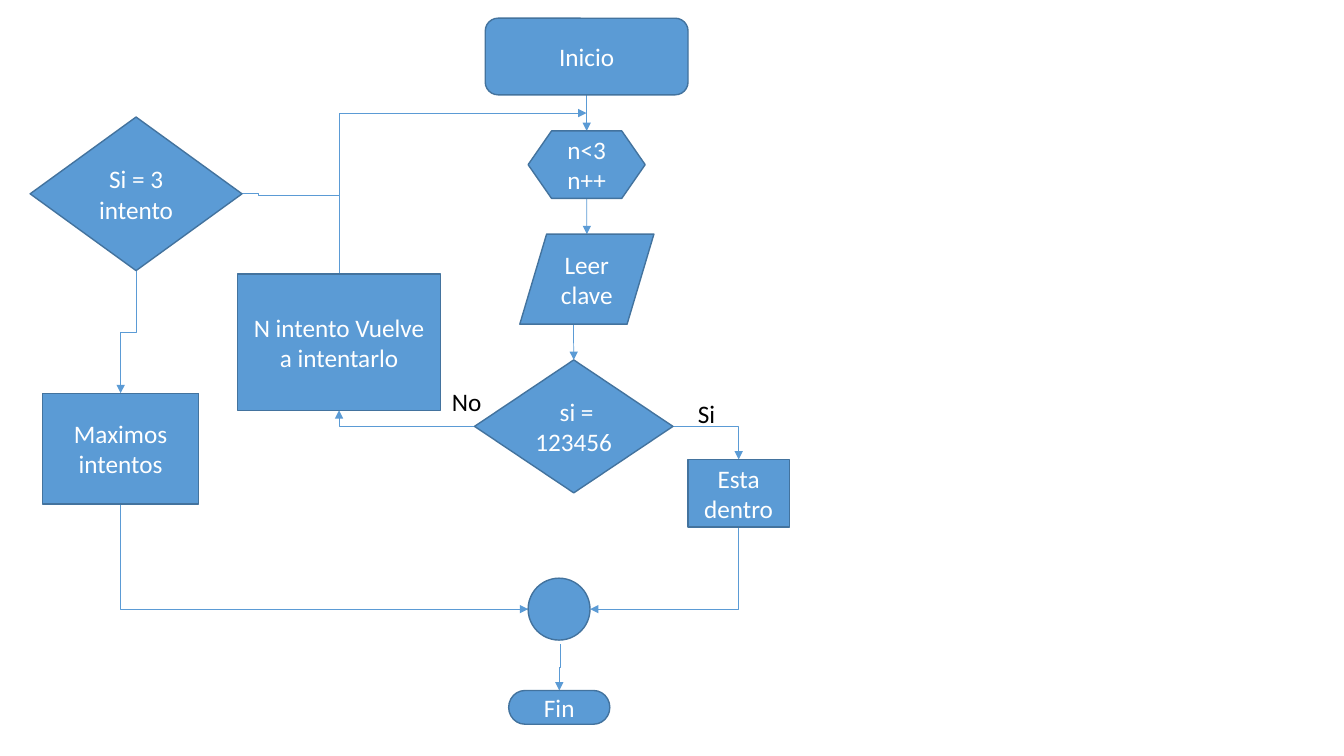
import pptx
import pptx.util
import pptx.dml.color
import pptx.enum.shapes
import pptx.enum.text
import pptx.oxml
import pptx.oxml.ns

Cm, Pt = pptx.util.Cm, pptx.util.Pt
KIND = pptx.enum.shapes.MSO_SHAPE
WIRE = pptx.enum.shapes.MSO_CONNECTOR
ALIGN = pptx.enum.text.PP_ALIGN
ANCHOR = pptx.enum.text.MSO_ANCHOR

HUES = {"fill": "5B9BD5", "edge": "43739E", "light": "FFFFFF", "dark": "000000"}
FONT, SIZE = "Calibri", 18

# name: (shape, text, left, top, width, height) in cm
NODES = {
    "start": (KIND.FLOWCHART_ALTERNATE_PROCESS, "Inicio", 12.23, 0.46, 5.11, 1.93),
    "loop": (KIND.FLOWCHART_PREPARATION, "n<3\vn++", 13.31, 3.3, 2.95, 1.7),
    "check": (KIND.FLOWCHART_DECISION, " si = 123456", 11.96, 9.07, 5, 3.35),
    "read": (KIND.FLOWCHART_DATA, "Leer clave", 13.1, 5.9, 3.38, 2.27),
    "inside": (KIND.FLOWCHART_PROCESS, "Esta dentro", 17.34, 11.58, 2.55, 1.7),
    "retry": (KIND.FLOWCHART_PROCESS, "N intento Vuelve a intentarlo", 5.99, 6.91, 5.11, 3.43),
    "join": (KIND.OVAL, "", 13.31, 14.57, 1.56, 1.56),
    "third": (KIND.FLOWCHART_DECISION, "Si = 3 intento", 0.76, 2.95, 5.34, 3.87),
    "limit": (KIND.FLOWCHART_PROCESS, "Maximos intentos", 1.07, 9.91, 3.94, 2.79),
    "end": (KIND.FLOWCHART_TERMINATOR, "Fin", 12.82, 17.4, 2.55, 0.85),
}
LABELS = [("Si", 17.34, 9.91, 0.97, 1.02), ("No", 11.14, 9.6, 1.27, 1.02)]

# start, end, bends, first direction; an end is (node, side) or a point in cm
LINKS = [
    (("start", "bottom"), ("loop", "top"), 0, ""),
    (("loop", "bottom"), ("read", "top"), 0, ""),
    ((14.45, 8.17), ("check", "top"), 0, ""),
    (("check", "right"), ("inside", "top"), 1, "across"),
    (("check", "left"), ("retry", "bottom"), 1, "across"),
    (("retry", "top"), (14.78, 2.85), 1, "down"),
    (("inside", "bottom"), ("join", "right"), 1, "down"),
    ((8.54, 4.93), (4.47, 4.88), 2, "across"),
    (("third", "bottom"), ("limit", "top"), 2, "down"),
    (("limit", "bottom"), ("join", "left"), 1, "down"),
    ((14.11, 16.23), ("end", "top"), 2, "down"),
]
SIDES = {"top": (0.5, 0), "bottom": (0.5, 1), "left": (0, 0.5), "right": (1, 0.5)}


def hue(name):
    """Return a named colour."""
    return pptx.dml.color.RGBColor.from_string(HUES[name])


def spot(end):
    """Return the point in cm for a node side or a plain point."""
    if end[0] not in NODES:
        return end
    left, top, wide, high = NODES[end[0]][2:]
    fx, fy = SIDES[end[1]]
    return left + wide * fx, top + high * fy


def write(frame, text, tint):
    """Put text in a frame and format its runs."""
    frame.text = text
    for para in frame.paragraphs:
        for run in para.runs:
            run.font.name, run.font.size = FONT, Pt(SIZE)
            run.font.color.rgb = hue(tint)


def node(slide, kind, text, *box):
    """Draw one flowchart shape."""
    shape = slide.shapes.add_shape(kind, *map(Cm, box))
    shape.shadow.inherit = False
    shape.fill.solid()
    shape.fill.fore_color.rgb = hue("fill")
    shape.line.color.rgb = hue("edge")
    shape.line.width = Pt(1)
    if text:
        frame = shape.text_frame
        write(frame, text, "light")
        frame.word_wrap = True
        frame.vertical_anchor = ANCHOR.MIDDLE
        for para in frame.paragraphs:
            para.alignment = ALIGN.CENTER


def link(slide, start, end, bends, way):
    """Draw an arrow with the given number of bends."""
    (ax, ay), (bx, by) = spot(start), spot(end)
    if way == "down":
        # an elbow that leaves vertically is one turned a quarter about its middle
        mx, my = (ax + bx) / 2, (ay + by) / 2
        dx, dy = (bx - ax) / 2, (by - ay) / 2
        ax, ay, bx, by = mx - dy, my + dx, mx + dy, my - dx
    kind = WIRE.ELBOW if bends else WIRE.STRAIGHT
    wire = slide.shapes.add_connector(kind, *map(Cm, (ax, ay, bx, by)))
    wire.line.color.rgb = hue("fill")
    wire.line.width = Pt(0.5)
    props = wire._element.spPr
    if bends == 1:
        props.find(pptx.oxml.ns.qn("a:prstGeom")).set("prst", "bentConnector2")
    if way == "down":
        props.find(pptx.oxml.ns.qn("a:xfrm")).set("rot", str(90 * 60000))
    space = pptx.oxml.ns.nsdecls("a")
    head = pptx.oxml.parse_xml(f'<a:tailEnd {space} type="triangle"/>')
    props.find(pptx.oxml.ns.qn("a:ln")).append(head)
    props.append(pptx.oxml.parse_xml(f"<a:effectLst {space}/>"))


def label(slide, text, *box):
    """Write a branch label."""
    frame = slide.shapes.add_textbox(*map(Cm, box)).text_frame
    write(frame, text, "dark")
    frame.word_wrap = False


deck = pptx.Presentation()
deck.slide_width, deck.slide_height = Cm(33.87), Cm(19.05)
slide = deck.slides.add_slide(deck.slide_layouts[6])
for item in LINKS:
    link(slide, *item)
for item in NODES.values():
    node(slide, *item)
for item in LABELS:
    label(slide, *item)
deck.save("out.pptx")
